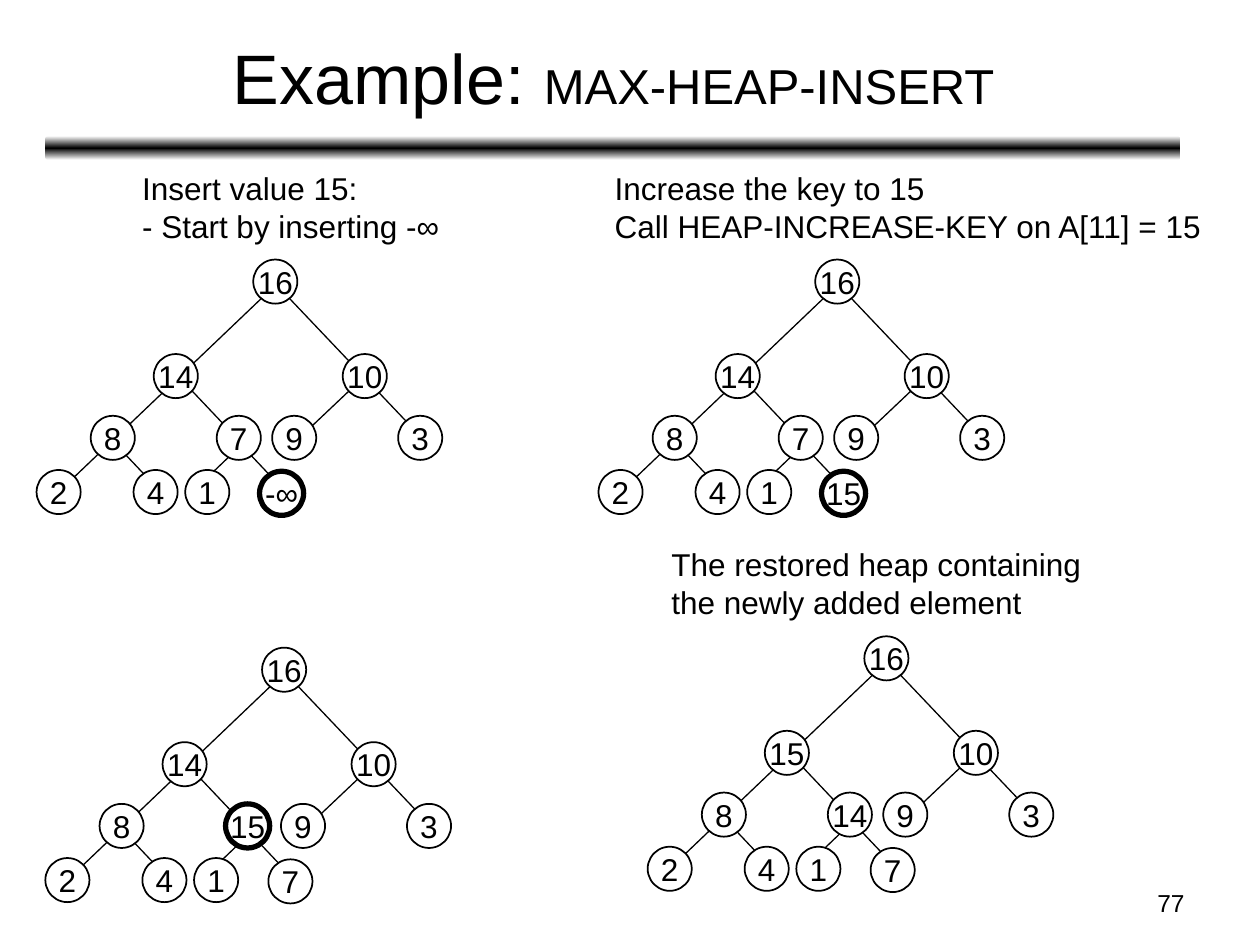
"""Build the MAX-HEAP-INSERT example slide with four heap states."""

import copy
from dataclasses import dataclass
from typing import Any, NamedTuple, Optional

import lxml.etree
import pptx
import pptx.dml.color
import pptx.enum.shapes
import pptx.enum.text
import pptx.oxml.ns
import pptx.util

Inches = pptx.util.Inches
Align = pptx.enum.text.PP_ALIGN
Anchor = pptx.enum.text.MSO_ANCHOR
Shapes = pptx.enum.shapes.MSO_SHAPE


@dataclass(frozen=True)
class Theme:
    font: str = "Arial"
    ink: pptx.dml.color.RGBColor = pptx.dml.color.RGBColor(0, 0, 0)
    paper: pptx.dml.color.RGBColor = pptx.dml.color.RGBColor(255, 255, 255)
    title_size: float = 40
    subtitle_size: float = 28
    body_size: float = 18
    number_size: float = 14
    edge_width: float = 0.75
    node_width: float = 1
    highlight_width: float = 3


class Point(NamedTuple):
    x: float
    y: float


class Box(NamedTuple):
    left: float
    top: float
    width: float
    height: float


class Edge(NamedTuple):
    start: Point
    end: Point


@dataclass(frozen=True)
class Caption:
    box: Box
    lines: tuple[str, ...]


@dataclass(frozen=True)
class Heap:
    root: Point
    keys: tuple[str, ...]
    highlight: Optional[int] = None
    caption: Optional[Caption] = None


THEME = Theme()
NODE_SIZE = 0.35
NODE_OFFSETS = (
    Point(0, 0),
    Point(-0.79, 0.75), Point(0.71, 0.75),
    Point(-1.29, 1.24), Point(-0.29, 1.24), Point(0.15, 1.24), Point(1.15, 1.24),
    Point(-1.72, 1.67), Point(-0.95, 1.67), Point(-0.54, 1.67), Point(0.05, 1.68),
)
EDGES = (
    Edge(Point(0.31, 1.9), Point(-0.22, 1.34)),
    Edge(Point(-0.48, 1.84), Point(-0.03, 1.41)),
    Edge(Point(0.33, 1.45), Point(0.89, 0.92)),
    Edge(Point(-0.69, 1.89), Point(-1.22, 1.33)),
    Edge(Point(-0.1, 1.45), Point(-0.63, 0.89)),
    Edge(Point(1.41, 1.49), Point(0.08, 0.09)),
    Edge(Point(-1.54, 1.84), Point(0.21, 0.17)),
)
HEAPS = (
    Heap(
        Point(2.01, 2.06),
        ("16", "14", "10", "8", "7", "9", "3", "2", "4", "1", "-∞"),
        10,
        Caption(Box(1.03, 1.29, 2.56, 0.7), ("Insert value 15:", "- Start by inserting -∞")),
    ),
    Heap(
        Point(6.47, 2.06),
        ("16", "14", "10", "8", "7", "9", "3", "2", "4", "1", "15"),
        10,
        Caption(
            Box(4.78, 1.29, 4.89, 0.7),
            ("Increase the key to 15", "Call HEAP-INCREASE-KEY on A[11] = 15"),
        ),
    ),
    Heap(
        Point(2.08, 5.14),
        ("16", "14", "10", "8", "15", "9", "3", "2", "4", "1", "7"),
        4,
    ),
    Heap(
        Point(6.86, 5.05),
        ("16", "15", "10", "8", "14", "9", "3", "2", "4", "1", "7"),
        caption=Caption(
            Box(5.23, 4.28, 3.45, 0.7),
            ("The restored heap containing", "the newly added element"),
        ),
    ),
)


def to_inches(values: tuple[float, ...]) -> list[pptx.util.Length]:
    """Convert plain numbers to lengths."""
    return [Inches(value) for value in values]


def add_text(
    paragraph: Any, text: str, *, size: float = THEME.body_size, alignment: Any = Align.LEFT
) -> None:
    """Append a formatted run to a paragraph."""
    paragraph.alignment = alignment
    run = paragraph.add_run()
    run.text = text
    run.font.name = THEME.font
    run.font.size = pptx.util.Pt(size)
    run.font.color.rgb = THEME.ink


def add_title(slide: Any) -> None:
    """Place and fill the title placeholder."""
    title = slide.shapes.title
    title.left, title.top, title.width, title.height = to_inches(Box(0.37, 0.11, 9, 0.99))
    title.text_frame.vertical_anchor = Anchor.MIDDLE
    paragraph = title.text_frame.paragraphs[0]
    add_text(paragraph, "Example: ", size=THEME.title_size, alignment=Align.CENTER)
    add_text(paragraph, "MAX-HEAP-INSERT", size=THEME.subtitle_size, alignment=Align.CENTER)


def add_title_bar(slide: Any) -> None:
    """Draw the gradient bar below the title."""
    bar = slide.shapes.add_shape(
        Shapes.ROUNDED_RECTANGLE, *to_inches(Box(0.36, 1.08, 9.01, 0.19))
    )
    bar.shadow.inherit = False
    bar.line.fill.background()
    bar.fill.gradient()
    bar.fill.gradient_angle = 90
    stop_list = bar._element.spPr.find(".//" + pptx.oxml.ns.qn("a:gsLst"))
    stop_list.append(copy.deepcopy(stop_list[0]))
    colors = (THEME.paper, THEME.ink, THEME.paper)
    for stop, color, position in zip(bar.fill.gradient_stops, colors, (0, 0.5, 1)):
        stop.color.rgb = color
        stop.position = position


def add_text_box(
    slide: Any, box: Box, lines: tuple[str, ...], *, wrap: bool = False, **text_format: Any
) -> None:
    """Add a text box with one paragraph per line."""
    frame = slide.shapes.add_textbox(*to_inches(box)).text_frame
    frame.word_wrap = wrap
    for index, line in enumerate(lines):
        paragraph = frame.add_paragraph() if index else frame.paragraphs[0]
        add_text(paragraph, line, **text_format)


def add_edge(slide: Any, root: Point, edge: Edge) -> None:
    """Draw a tree edge relative to the root."""
    points = [Point(root.x + point.x, root.y + point.y) for point in edge]
    connector = slide.shapes.add_connector(
        pptx.enum.shapes.MSO_CONNECTOR.STRAIGHT, *to_inches(points[0] + points[1])
    )
    connector.line.color.rgb = THEME.ink
    connector.line.width = pptx.util.Pt(THEME.edge_width)
    lxml.etree.SubElement(connector._element.spPr, pptx.oxml.ns.qn("a:effectLst"))


def add_node(slide: Any, position: Point, key: str, line_width: float) -> None:
    """Draw a circular node with its key."""
    node = slide.shapes.add_shape(
        Shapes.OVAL, *to_inches(Box(position.x, position.y, NODE_SIZE, NODE_SIZE))
    )
    node.shadow.inherit = False
    node.fill.solid()
    node.fill.fore_color.rgb = THEME.paper
    node.line.color.rgb = THEME.ink
    node.line.width = pptx.util.Pt(line_width)
    node.text_frame.word_wrap = False
    node.text_frame.vertical_anchor = Anchor.MIDDLE
    add_text(node.text_frame.paragraphs[0], key, alignment=Align.CENTER)


def add_heap(slide: Any, heap: Heap) -> None:
    """Draw one heap state with its caption."""
    for edge in EDGES:
        add_edge(slide, heap.root, edge)
    for index, (offset, key) in enumerate(zip(NODE_OFFSETS, heap.keys)):
        position = Point(heap.root.x + offset.x, heap.root.y + offset.y)
        width = THEME.highlight_width if index == heap.highlight else THEME.node_width
        add_node(slide, position, key, width)
    if heap.caption:
        add_text_box(slide, heap.caption.box, heap.caption.lines)


def main() -> None:
    """Build and save the presentation."""
    presentation = pptx.Presentation()
    presentation.slide_width, presentation.slide_height = to_inches((10, 7.5))
    slide = presentation.slides.add_slide(presentation.slide_layouts.get_by_name("Title Only"))
    add_title_bar(slide)
    add_title(slide)
    add_text_box(
        slide, Box(7.17, 7, 2.33, 0.35), ("77",),
        wrap=True, size=THEME.number_size, alignment=Align.RIGHT,
    )
    for heap in HEAPS:
        add_heap(slide, heap)
    presentation.save("out.pptx")


if __name__ == "__main__":
    main()
